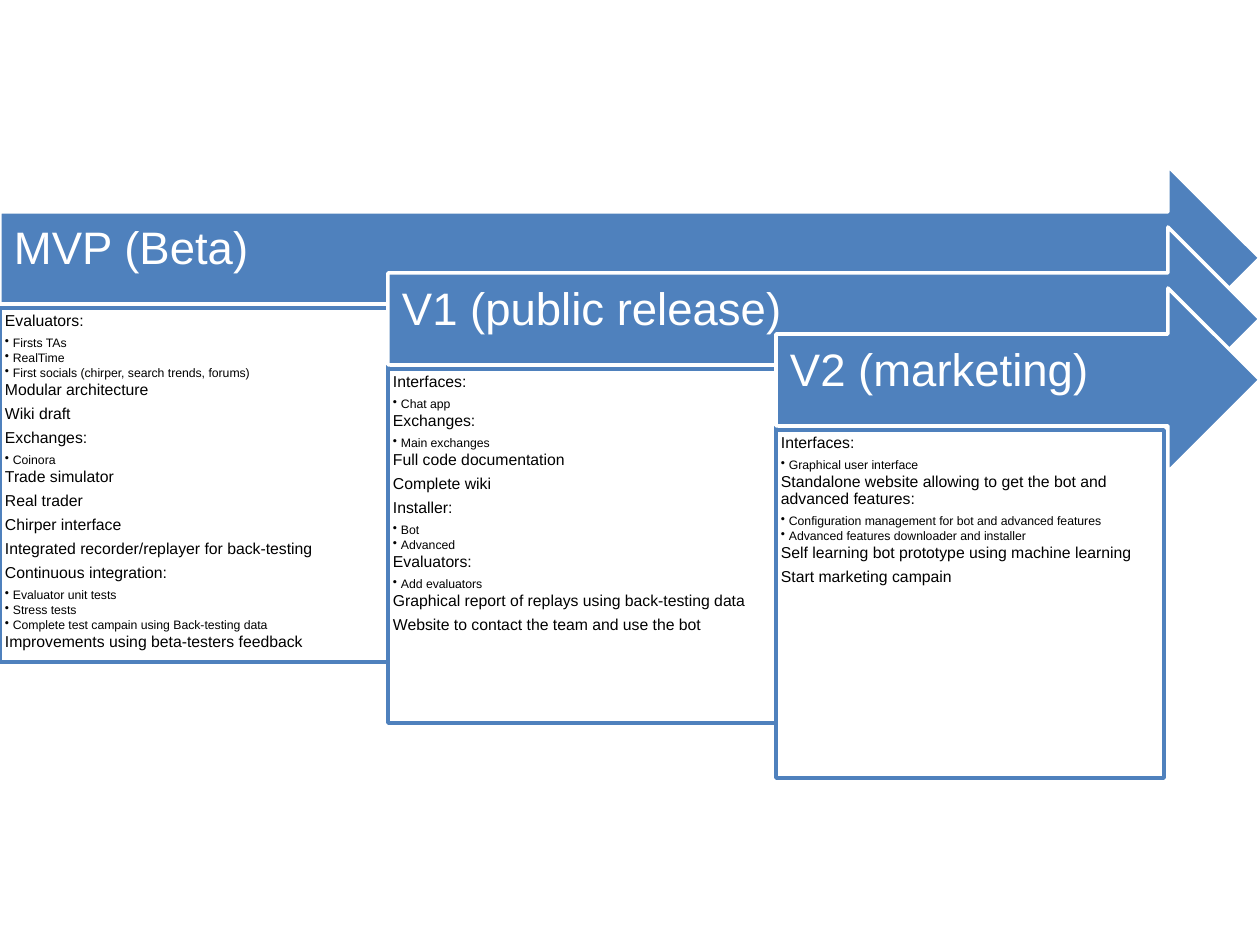
from dataclasses import dataclass

from lxml.etree import SubElement
from pptx import Presentation
from pptx.dml.color import RGBColor
from pptx.enum.text import MSO_ANCHOR, PP_ALIGN
from pptx.oxml.ns import qn
from pptx.util import Emu, Pt

PX = 914400 / 126
RIGHT_EDGE = 1260
FIRST_TOP = 166
STEP_X, STEP_Y = 388, 61
SHAFT_INSET, SHAFT_HEIGHT = 46, 92
HEAD_LENGTH = 92
BOX_GAP = 4
BULLET_INDENT = 8


@dataclass(frozen=True)
class Theme:
    font: str = "Arial"
    blue: RGBColor = RGBColor(0x4F, 0x81, 0xBD)
    white: RGBColor = RGBColor(0xFF, 0xFF, 0xFF)
    black: RGBColor = RGBColor(0x00, 0x00, 0x00)
    heading_size: int = 26
    item_size: int = 9
    detail_size: int = 7
    line_width: int = 2


THEME = Theme()

PHASES = [
    ("MVP (Beta)", 354, [
        ("Evaluators:", [
            "Firsts TAs",
            "RealTime",
            "First socials (chirper, search trends, forums)",
        ]),
        ("Modular architecture", []),
        ("Wiki draft", []),
        ("Exchanges:", ["Coinora"]),
        ("Trade simulator", []),
        ("Real trader", []),
        ("Chirper interface", []),
        ("Integrated recorder/replayer for back-testing", []),
        ("Continuous integration:", [
            "Evaluator unit tests",
            "Stress tests",
            "Complete test campain using Back-testing data",
        ]),
        ("Improvements using beta-testers feedback", []),
    ]),
    ("V1 (public release)", 354, [
        ("Interfaces:", ["Chat app"]),
        ("Exchanges:", ["Main exchanges"]),
        ("Full code documentation", []),
        ("Complete wiki", []),
        ("Installer:", ["Bot", "Advanced"]),
        ("Evaluators:", ["Add evaluators"]),
        ("Graphical report of replays using back-testing data", []),
        ("Website to contact the team and use the bot", []),
    ]),
    ("V2 (marketing)", 348, [
        ("Interfaces:", ["Graphical user interface"]),
        ("Standalone website allowing to get the bot and advanced features:", [
            "Configuration management for bot and advanced features",
            "Advanced features downloader and installer",
        ]),
        ("Self learning bot prototype using machine learning", []),
        ("Start marketing campain", []),
    ]),
]


def px(length):
    return Emu(round(length * PX))


def add_outline(slide, points, fill, line):
    corners = [(px(x), px(y)) for x, y in points]
    builder = slide.shapes.build_freeform(*corners[0])
    builder.add_line_segments(corners[1:], close=True)
    shape = builder.convert_to_shape()
    shape.shadow.inherit = False
    shape.fill.solid()
    shape.fill.fore_color.rgb = fill
    shape.line.color.rgb = line
    shape.line.width = Pt(THEME.line_width)
    return shape


def prepare_text(shape, insets, anchor):
    text_frame = shape.text_frame
    text_frame.word_wrap = True
    text_frame.vertical_anchor = anchor
    (text_frame.margin_left, text_frame.margin_top,
     text_frame.margin_right, text_frame.margin_bottom) = map(px, insets)
    return text_frame


def format_paragraph(paragraph, size, color, space_after):
    paragraph.alignment = PP_ALIGN.LEFT
    paragraph.line_spacing = 0.9
    paragraph.space_after = Pt(space_after)
    paragraph.font.name = THEME.font
    paragraph.font.size = Pt(size)
    paragraph.font.color.rgb = color
    for run in paragraph.runs:
        run.font.name = THEME.font
        run.font.size = Pt(size)
        run.font.color.rgb = color


def add_bullet(paragraph):
    paragraph.level = 1
    properties = paragraph._p.get_or_add_pPr()
    properties.set("marL", str(px(BULLET_INDENT)))
    properties.set("indent", str(-px(BULLET_INDENT)))
    bullet_color = SubElement(properties, qn("a:buClr"))
    SubElement(bullet_color, qn("a:srgbClr")).set("val", str(THEME.black))
    SubElement(properties, qn("a:buChar")).set("char", "•")


def add_arrow(slide, left, top, heading):
    shaft_top = top + SHAFT_INSET
    shaft_bottom = shaft_top + SHAFT_HEIGHT
    head_left = RIGHT_EDGE - HEAD_LENGTH
    points = [
        (left, shaft_top),
        (head_left, shaft_top),
        (head_left, top),
        (RIGHT_EDGE, top + HEAD_LENGTH),
        (head_left, shaft_bottom + SHAFT_INSET),
        (head_left, shaft_bottom),
        (left, shaft_bottom),
    ]
    shape = add_outline(slide, points, THEME.blue, THEME.white)
    text_frame = prepare_text(shape, (14, 59, 81, 76), MSO_ANCHOR.MIDDLE)
    text_frame.text = heading
    format_paragraph(text_frame.paragraphs[0], THEME.heading_size, THEME.white, 11)


def add_feature_box(slide, left, top, height, features):
    right, bottom = left + STEP_X, top + height
    points = [(left, top), (right, top), (right, bottom), (left, bottom)]
    shape = add_outline(slide, points, THEME.white, THEME.blue)
    text_frame = prepare_text(shape, (5, 5, 5, 5), MSO_ANCHOR.TOP)
    for index, (item, details) in enumerate(features):
        paragraph = text_frame.add_paragraph() if index else text_frame.paragraphs[0]
        paragraph.text = item
        format_paragraph(paragraph, THEME.item_size, THEME.black, 4)
        for detail in details:
            paragraph = text_frame.add_paragraph()
            paragraph.text = detail
            add_bullet(paragraph)
            format_paragraph(paragraph, THEME.detail_size, THEME.black, 1)


def main():
    presentation = Presentation()
    presentation.slide_width, presentation.slide_height = px(1260), px(945)
    slide = presentation.slides.add_slide(presentation.slide_layouts[6])
    for index, (heading, box_height, features) in enumerate(PHASES):
        left = index * STEP_X
        top = FIRST_TOP + index * STEP_Y
        add_arrow(slide, left, top, heading)
        box_top = top + SHAFT_INSET + SHAFT_HEIGHT + BOX_GAP
        add_feature_box(slide, left, box_top, box_height, features)
    presentation.save("out.pptx")


if __name__ == "__main__":
    main()
